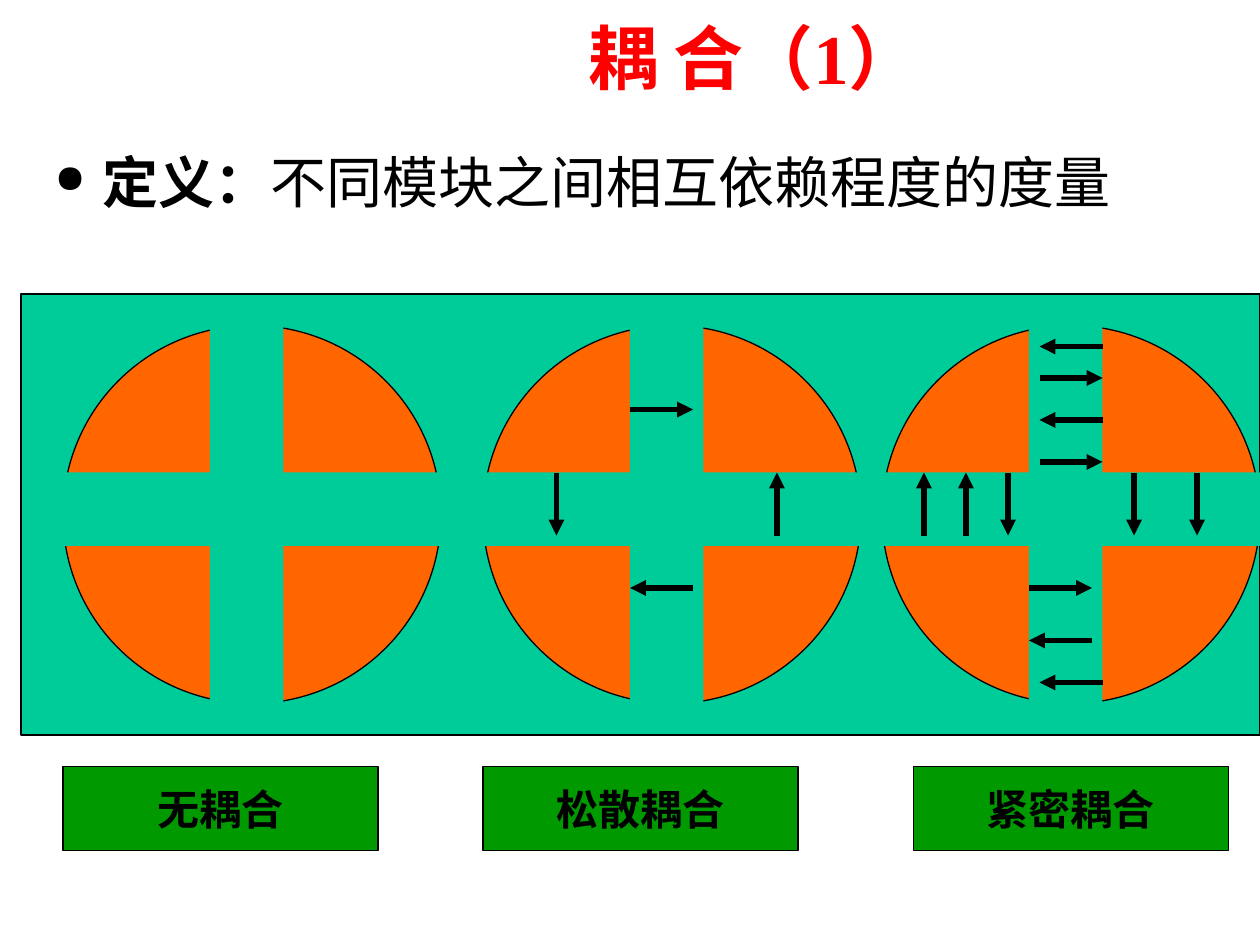
"""Build a slide that compares no, loose and tight module coupling."""
from lxml import etree
from pptx import Presentation
from pptx import util as u
from pptx.dml.color import RGBColor
from pptx.enum import shapes, text
from pptx.oxml.ns import qn

PX = 7620
WIDTH, HEIGHT = 1200, 900
BLACK = RGBColor(0, 0, 0)
RED = RGBColor(0xFF, 0, 0)
TEAL = RGBColor(0, 0xCC, 0x99)
ORANGE = RGBColor(0xFF, 0x66, 0)
GREEN = RGBColor(0, 0x99, 0)
RECT = shapes.MSO_SHAPE.RECTANGLE
OVAL = shapes.MSO_SHAPE.OVAL


class Deck:
    font = "Times New Roman"
    line_width = u.Pt(0.75)

    def __init__(self, prs):
        self.slide = prs.slides.add_slide(prs.slide_layouts[5])

    def box(self, *lengths):
        return [u.Emu(n * PX) for n in lengths]

    def style(self, r, size, color=BLACK, bold=True):
        r.font.name = self.font
        r.font.size = u.Pt(size)
        r.font.bold = bold
        r.font.color.rgb = color

    def margins(self, tf, side):
        tf.margin_left = tf.margin_right = u.Inches(side)
        tf.margin_top = tf.margin_bottom = u.Inches(0.05)
        tf.auto_size = text.MSO_AUTO_SIZE.NONE

    def centred(self, tf, words, size, color=BLACK):
        tf.text = words
        tf.vertical_anchor = text.MSO_ANCHOR.MIDDLE
        p = tf.paragraphs[0]
        p.alignment = text.PP_ALIGN.CENTER
        self.style(p.runs[0], size, color)

    def title(self, words, x, y, w, h):
        sp = self.slide.shapes.title
        sp.left, sp.top, sp.width, sp.height = self.box(x, y, w, h)
        self.margins(sp.text_frame, 0)
        self.centred(sp.text_frame, words, 40, RED)

    def definition(self, term, meaning, x, y, w, h):
        sp = self.slide.shapes.add_textbox(*self.box(x, y, w, h))
        tf = sp.text_frame
        tf.word_wrap = True
        self.margins(tf, 0)
        p = tf.paragraphs[0]
        p.line_spacing = 1.1
        pPr = p._p.get_or_add_pPr()
        pPr.set("marL", str(u.Inches(0.38)))
        pPr.set("indent", str(-u.Inches(0.38)))
        color = etree.SubElement(pPr, qn("a:buClr"))
        etree.SubElement(color, qn("a:srgbClr"), val=str(BLACK))
        etree.SubElement(pPr, qn("a:buSzPct"), val="70000")
        etree.SubElement(pPr, qn("a:buChar"), char="●")
        for words, bold in ((term, True), (meaning, False)):
            r = p.add_run()
            r.text = words
            self.style(r, 32, bold=bold)

    def shape(self, kind, x, y, w, h, fill, outlined=True):
        sp = self.slide.shapes.add_shape(kind, *self.box(x, y, w, h))
        sp.shadow.inherit = False
        sp.fill.solid()
        sp.fill.fore_color.rgb = fill
        if outlined:
            sp.line.color.rgb = BLACK
            sp.line.width = self.line_width
        else:
            sp.line.fill.background()
        return sp

    def quartered_circle(self, x):
        self.shape(OVAL, x, 310, 360, 360, ORANGE)
        self.shape(RECT, x - 20, 450, min(420, WIDTH - x + 20), 70, TEAL, False)
        self.shape(RECT, x + 140, 300, 70, 380, TEAL, False)

    def label(self, words, x):
        tf = self.shape(RECT, x, 730, 300, 80, GREEN).text_frame
        tf.word_wrap = False
        self.margins(tf, 0.1)
        self.centred(tf, words, 24)

    def arrow(self, x, y, dx, dy):
        sp = self.slide.shapes.add_connector(
            shapes.MSO_CONNECTOR.STRAIGHT, *self.box(x, y, x + dx, y + dy))
        sp.line.color.rgb = BLACK
        sp.line.width = u.Pt(3)
        etree.SubElement(sp.line._get_or_add_ln(), qn("a:tailEnd"), type="triangle")
        etree.SubElement(sp._element.spPr, qn("a:effectLst"))


def main():
    prs = Presentation()
    prs.slide_width, prs.slide_height = u.Emu(WIDTH * PX), u.Emu(HEIGHT * PX)
    deck = Deck(prs)
    deck.title("耦 合（1）", 235, 0, 965, 108)
    deck.definition("定义：", "不同模块之间相互依赖程度的度量", 52, 128, 1021, 652)

    deck.shape(RECT, 20, 280, 1180, 420, TEAL)
    for x in (60, 460, 840):
        deck.quartered_circle(x)

    for x, y in ((600, 390), (990, 440), (990, 360), (980, 560)):
        deck.arrow(x, y, 60, 0)
    for x, y in ((660, 560), (1050, 650), (1040, 610), (1050, 400), (1050, 330)):
        deck.arrow(x, y, -60, 0)
    for x in (740, 880, 920):
        deck.arrow(x, 510, 0, -60)
    for x in (530, 960, 1080, 1140):
        deck.arrow(x, 450, 0, 60)

    for words, x in (("无耦合", 60), ("松散耦合", 460), ("紧密耦合", 870)):
        deck.label(words, x)
    prs.save("out.pptx")


if __name__ == "__main__":
    main()
